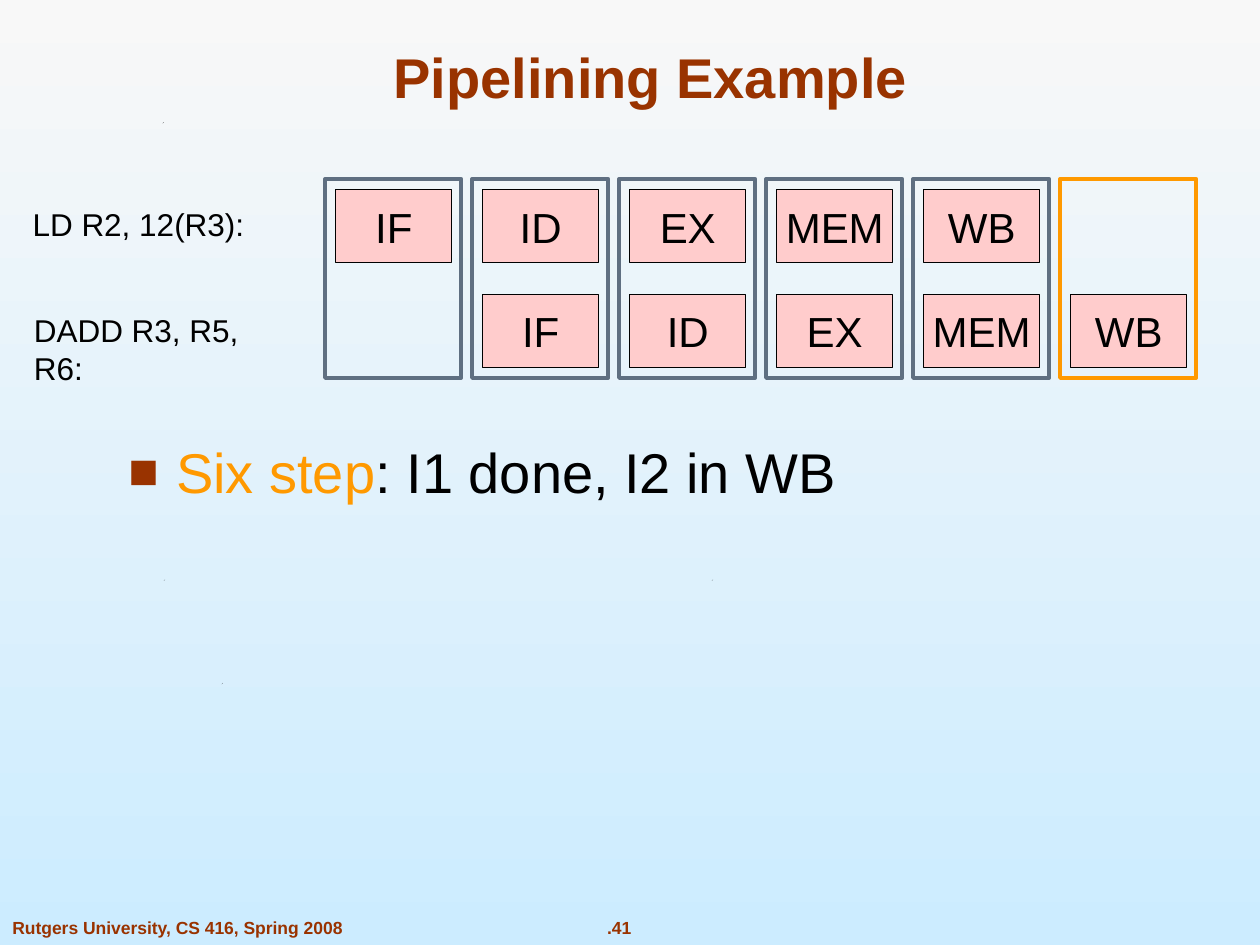
from lxml import etree
from pptx import Presentation
from pptx.dml.color import RGBColor
from pptx.enum.shapes import MSO_SHAPE as Shape
from pptx.enum.text import MSO_ANCHOR as Anchor, PP_ALIGN as Align
from pptx.oxml.ns import qn
from pptx.util import Inches, Pt

COLORS = {
    "sky_top": "F8F8F8",
    "sky_bottom": "CCECFF",
    "brown": "993300",
    "orange": "FF9900",
    "pink": "FFCCCC",
    "slate": "5F6F81",
    "black": "000000",
}
STAGES = ["IF", "ID", "EX", "MEM", "WB"]
STEP_COUNT = 6
STEP_LEFT, STEP_TOP, STEP_PITCH = 2.58, 1.42, 7 / 6
ROW_PITCH = 5 / 6
CELL_INSET = 0.085
SPECKS = [(1.76, 5.42), (1.3, 4.6), (5.65, 4.6), (1.29, 0.97)]


def color(name):
    return RGBColor.from_string(COLORS[name])


def paint_background(slide):
    fill = slide.background.fill
    fill.gradient()
    fill.gradient_angle = 270
    for stop, name, position in zip(
        fill.gradient_stops, ("sky_top", "sky_bottom"), (0, 1)
    ):
        stop.color.rgb = color(name)
        stop.position = position


def set_font(font, size, name, bold=False):
    font.name = "Arial"
    font.size = Pt(size)
    font.bold = bold
    font.color.rgb = color(name)


def add_text(slide, box, text, size, name="black", bold=False,
             align=Align.LEFT, anchor=Anchor.TOP, wrap=False):
    frame = slide.shapes.add_textbox(*map(Inches, box)).text_frame
    frame.word_wrap = wrap
    frame.vertical_anchor = anchor
    paragraph = frame.paragraphs[0]
    paragraph.text = text
    paragraph.alignment = align
    set_font(paragraph.font, size, name, bold)


def add_bullet(slide, box, parts, size):
    """Add a square-bulleted line made of (text, colour name) parts."""
    frame = slide.shapes.add_textbox(*map(Inches, box)).text_frame
    frame.word_wrap = True
    paragraph = frame.paragraphs[0]
    properties = paragraph._p.get_or_add_pPr()
    properties.set("marL", str(Inches(0.38)))
    properties.set("indent", str(-Inches(0.38)))
    bullet_color = etree.SubElement(properties, qn("a:buClr"))
    etree.SubElement(bullet_color, qn("a:srgbClr"), val=COLORS["brown"])
    etree.SubElement(properties, qn("a:buSzPct"), val="90000")
    etree.SubElement(properties, qn("a:buFont"), typeface="Arial")
    etree.SubElement(properties, qn("a:buChar"), char="■")
    for text, name in parts:
        run = paragraph.add_run()
        run.text = text
        set_font(run.font, size, name)


def add_rectangle(slide, box, line_name, line_width):
    shape = slide.shapes.add_shape(Shape.RECTANGLE, *map(Inches, box))
    shape.shadow.inherit = False
    shape.fill.background()
    shape.line.color.rgb = color(line_name)
    shape.line.width = Pt(line_width)
    return shape


def add_stage(slide, step, row, label):
    left = STEP_LEFT + step * STEP_PITCH + CELL_INSET
    top = STEP_TOP + row * ROW_PITCH + CELL_INSET
    shape = add_rectangle(slide, (left, top, 0.92, 0.58), "black", 0.75)
    shape.fill.solid()
    shape.fill.fore_color.rgb = color("pink")
    frame = shape.text_frame
    frame.word_wrap = False
    frame.vertical_anchor = Anchor.MIDDLE
    paragraph = frame.paragraphs[0]
    paragraph.text = label
    paragraph.alignment = Align.CENTER
    set_font(paragraph.font, 24, "black")


def add_speck(slide, left, top):
    x, y, size = Inches(left), Inches(top), Inches(0.01)
    builder = slide.shapes.build_freeform(x, y + size)
    builder.add_line_segments([(x + size // 2, y + size // 2), (x + size, y)])
    shape = builder.convert_to_shape()
    shape.shadow.inherit = False
    shape.fill.solid()
    shape.fill.fore_color.rgb = color("black")
    shape.line.fill.background()


def add_pipeline(slide):
    for row in range(2):
        for index, label in enumerate(STAGES):
            add_stage(slide, index + row, row, label)
    for step in range(STEP_COUNT):
        current = step == STEP_COUNT - 1
        box = (STEP_LEFT + step * STEP_PITCH, STEP_TOP, 1.08, 1.58)
        add_rectangle(slide, box, "orange" if current else "slate", 2.25)
    add_text(slide, (0.16, 1.58, 1.88, 0.4), "LD R2, 12(R3):", 18)
    add_text(slide, (0.17, 2.42, 2.28, 0.4), "DADD R3, R5, R6:", 18)


def main():
    presentation = Presentation()
    presentation.slide_width = Inches(10)
    presentation.slide_height = Inches(7.5)
    slide = presentation.slides.add_slide(presentation.slide_layouts[6])
    paint_background(slide)
    add_text(slide, (4.46, 7.23, 0.91, 0.27), ".41", 10, "brown", True,
             Align.CENTER)
    for left, top in SPECKS:
        add_speck(slide, left, top)
    add_text(slide, (0, 7.23, 2.83, 0.27),
             "Rutgers University, CS 416, Spring 2008", 10, "brown", True)
    add_text(slide, (0.75, 0.25, 8.83, 0.67), "Pipelining Example", 32,
             "brown", True, Align.CENTER, Anchor.BOTTOM, wrap=True)
    add_bullet(slide, (0.92, 3.42, 8.83, 3.92),
               [("Six step", "orange"), (": I1 done, I2 in WB", "black")], 32)
    add_pipeline(slide)
    presentation.save("out.pptx")


if __name__ == "__main__":
    main()
